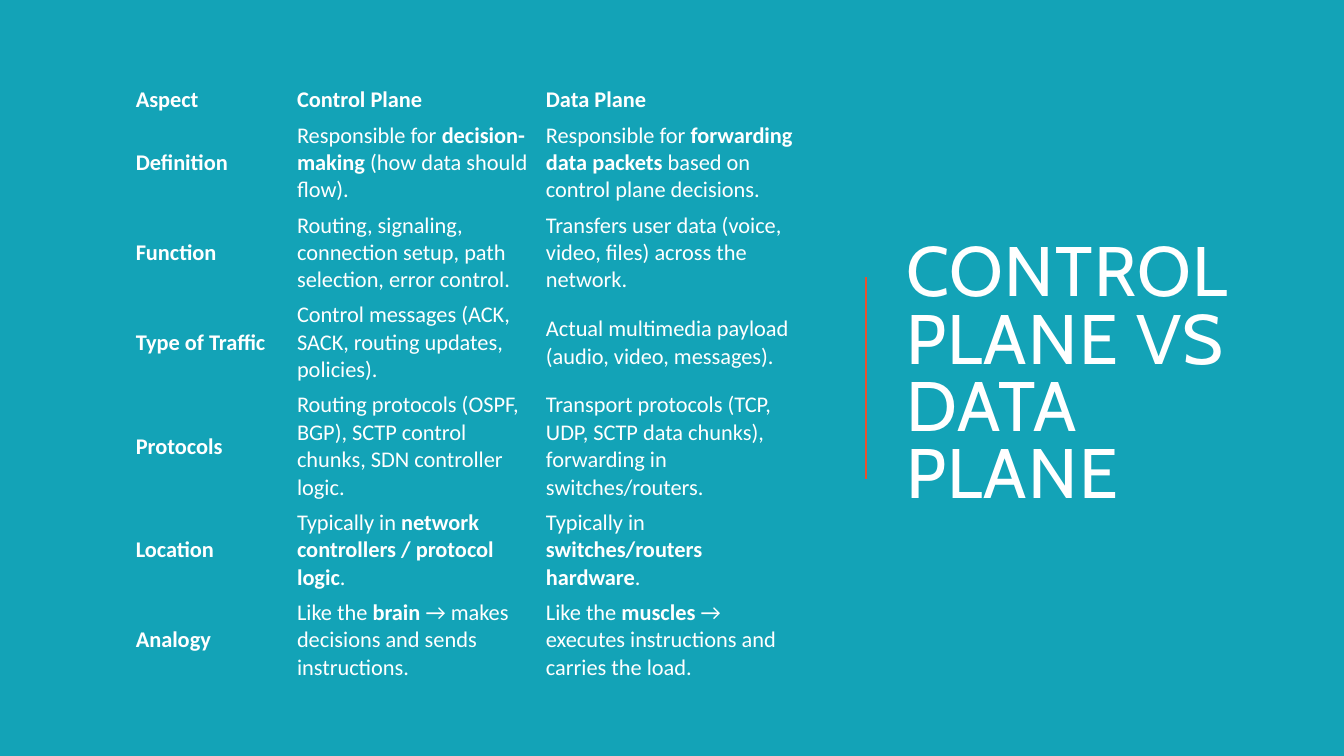
from dataclasses import dataclass

from lxml.etree import SubElement
from pptx import Presentation
from pptx.dml.color import RGBColor as RGB
from pptx.enum.shapes import MSO_CONNECTOR as CONN
from pptx.enum.text import MSO_ANCHOR as ANCHOR, MSO_AUTO_SIZE as AUTO, PP_ALIGN as ALIGN
from pptx.oxml.ns import qn
from pptx.util import Pt


@dataclass(frozen=True)
class Theme:
    background: RGB = RGB(0x13, 0xA3, 0xB7)
    text: RGB = RGB(0xFF, 0xFF, 0xFF)
    accent: RGB = RGB(0xE7, 0x51, 0x2E)
    title_font: str = "Cabin"
    table_font: str = "Calibri"
    title_size: int = 50
    table_size: int = 16
    plain_table: str = "{2D5ABB26-0587-4C30-8999-92F81FD0307C}"


HEADER = ["Aspect", "Control Plane", "Data Plane"]
# Text between ** marks is bold.
ASPECTS = [
    ("Definition",
     "Responsible for **decision-making** (how data should flow).",
     "Responsible for **forwarding data packets** based on control plane decisions."),
    ("Function",
     "Routing, signaling, connection setup, path selection, error control.",
     "Transfers user data (voice, video, files) across the network."),
    ("Type of Traffic",
     "Control messages (ACK, SACK, routing updates, policies).",
     "Actual multimedia payload (audio, video, messages)."),
    ("Protocols",
     "Routing protocols (OSPF, BGP), SCTP control chunks, SDN controller logic.",
     "Transport protocols (TCP, UDP, SCTP data chunks), forwarding in switches/routers."),
    ("Location",
     "Typically in **network controllers / protocol logic**.",
     "Typically in **switches/routers hardware**."),
    ("Analogy",
     "Like the **brain** → makes decisions and sends instructions.",
     "Like the **muscles** → executes instructions and carries the load."),
]
COL_WIDTHS = [115.2, 177.8, 191.5]
ROW_HEIGHTS = [24.5, 58.3, 58.3, 58.3, 74.9, 58.3, 58.3]


class SlideBuilder:
    def __init__(self, prs, theme):
        self.theme = theme
        self.s = prs.slides.add_slide(prs.slide_layouts[5])
        fill = self.s.background.fill
        fill.solid()
        fill.fore_color.rgb = theme.background

    def add_run(self, p, text, font, size, bold=False):
        r = p.add_run()
        r.text = text
        r.font.name, r.font.size, r.font.bold = font, Pt(size), bold
        r.font.color.rgb = self.theme.text
        return r

    def title(self, text, x, y, w, h):
        sp = self.s.shapes.title
        sp.left, sp.top, sp.width, sp.height = Pt(x), Pt(y), Pt(w), Pt(h)
        tf = sp.text_frame
        tf.word_wrap, tf.auto_size = True, AUTO.NONE
        tf.vertical_anchor = ANCHOR.MIDDLE
        p = tf.paragraphs[0]
        p.alignment, p.line_spacing = ALIGN.LEFT, 0.8
        r = self.add_run(p, text, self.theme.title_font, self.theme.title_size)
        r.font._element.set("spc", "100")

    def line(self, x1, y1, x2, y2):
        c = self.s.shapes.add_connector(CONN.STRAIGHT, Pt(x1), Pt(y1), Pt(x2), Pt(y2))
        c.line.color.rgb = self.theme.accent
        c.line.width = Pt(1.5)
        SubElement(c._element.spPr, qn("a:effectLst"))

    def table(self, rows, x, y, widths, heights):
        frame = self.s.shapes.add_table(len(rows), len(widths), Pt(x), Pt(y),
                                        Pt(sum(widths)), Pt(sum(heights)))
        table = frame.table
        table.horz_banding = False
        table._tbl.tblPr.find(qn("a:tableStyleId")).text = self.theme.plain_table
        for col, width in zip(table.columns, widths):
            col.width = Pt(width)
        for i, (row, height) in enumerate(zip(rows, heights)):
            table.rows[i].height = Pt(height)
            for j, text in enumerate(row):
                self.cell(table.cell(i, j), text, heading=i == 0 or j == 0)

    def cell(self, cell, text, heading):
        cell.fill.background()
        cell.vertical_anchor = ANCHOR.MIDDLE
        cell.margin_left = cell.margin_right = Pt(5.6)
        cell.margin_top = cell.margin_bottom = Pt(2.8)
        p = cell.text_frame.paragraphs[0]
        for k, part in enumerate(text.split("**")):
            self.add_run(p, part, self.theme.table_font, self.theme.table_size,
                         bold=heading or k % 2 == 1)


def main():
    prs = Presentation()
    prs.slide_width, prs.slide_height = Pt(960), Pt(540)
    slide = SlideBuilder(prs, Theme())
    slide.title("CONTROL PLANE VS DATA PLANE", 640, 50.4, 273.6, 438.5)
    slide.line(618.5, 342, 618.5, 198)
    slide.table([HEADER, *ASPECTS], 91.4, 59, COL_WIDTHS, ROW_HEIGHTS)
    prs.save("out.pptx")


if __name__ == "__main__":
    main()
